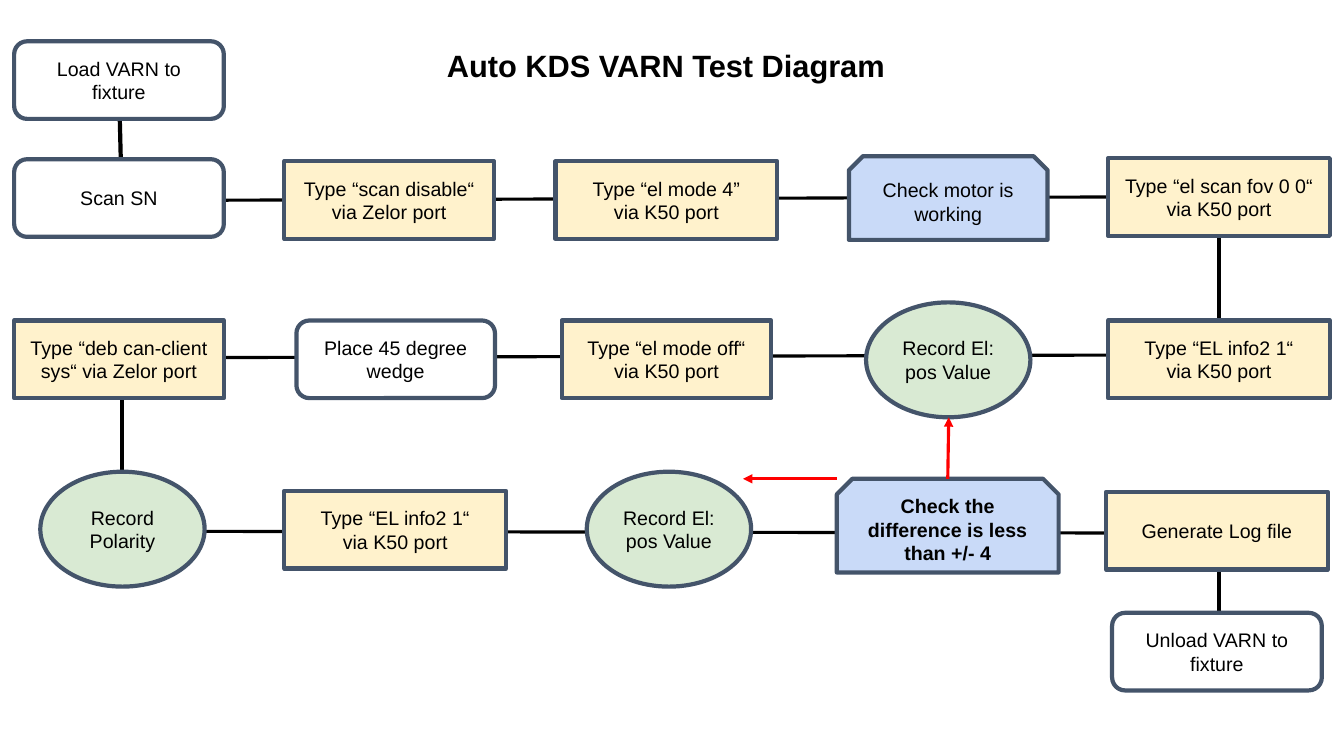
from dataclasses import dataclass

import lxml.etree
import pptx
import pptx.dml.color
import pptx.enum.shapes
import pptx.enum.text
import pptx.oxml.ns
import pptx.util

Inches = pptx.util.Inches
Pt = pptx.util.Pt
SHAPES = pptx.enum.shapes.MSO_SHAPE
CENTER = pptx.enum.text.PP_ALIGN.CENTER

COLORS = {
    "black": "000000",
    "white": "FFFFFF",
    "outline": "44546A",
    "cream": "FFF2CC",
    "blue": "C9DAF8",
    "green": "D9EAD3",
    "red": "FF0000",
}


@dataclass(frozen=True)
class Kind:
    shape: int
    fill: str
    height: float


@dataclass(frozen=True)
class Step:
    kind: Kind
    left: float
    top: float
    width: float
    text: str
    bold: bool = False


@dataclass(frozen=True)
class Line:
    start: tuple[float, float]
    end: tuple[float, float]
    width: float = 2.25
    color: str = "black"
    arrow: bool = False


MANUAL = Kind(SHAPES.ROUNDED_RECTANGLE, "white", 0.77)
COMMAND = Kind(SHAPES.RECTANGLE, "cream", 0.77)
RECORD = Kind(SHAPES.FLOWCHART_CONNECTOR, "green", 1.14)
CHECK = Kind(SHAPES.SNIP_2_SAME_RECTANGLE, "blue", 0.83)
FINAL_CHECK = Kind(SHAPES.SNIP_2_SAME_RECTANGLE, "blue", 0.93)

LINES = [
    Line((12.09, 5.5), (12.09, 6.73), 3),
    Line((12.09, 2.15), (12.09, 3.37), 3),
    Line((1.21, 3.75), (1.21, 4.87), 3),
    Line((1.18, 0.85), (1.21, 2.07), 3),
    Line((1.04, 5.27), (12.18, 5.29)),
    Line((1.21, 3.55), (12.07, 3.52)),
    Line((1.22, 1.99), (12.09, 1.95)),
]

STEPS = [
    Step(MANUAL, 0.14, 0.41, 2.08, "Load VARN to fixture"),
    Step(MANUAL, 0.14, 1.58, 2.08, "Scan SN"),
    Step(COMMAND, 2.82, 1.6, 2.08, "Type “scan disable“ via Zelor port"),
    Step(COMMAND, 5.51, 1.6, 2.2, "Type “el mode 4”\nvia K50 port"),
    Step(CHECK, 8.42, 1.55, 1.97, "Check motor is working"),
    Step(COMMAND, 10.99, 1.57, 2.2, "Type “el scan fov 0 0“\nvia K50 port"),
    Step(COMMAND, 10.99, 3.18, 2.2, "Type “EL info2 1“\nvia K50 port"),
    Step(RECORD, 8.59, 3, 1.63, "Record El: pos Value"),
    Step(COMMAND, 5.57, 3.18, 2.08, "Type “el mode off“\nvia K50 port"),
    Step(MANUAL, 2.94, 3.18, 1.97, "Place 45 degree wedge"),
    Step(COMMAND, 0.14, 3.18, 2.08, "Type “deb can-client sys“ via Zelor port"),
    Step(RECORD, 0.4, 4.68, 1.63, "Record Polarity"),
    Step(COMMAND, 2.82, 4.87, 2.2, "Type “EL info2 1“\nvia K50 port"),
    Step(RECORD, 5.82, 4.68, 1.63, "Record El: pos Value"),
    Step(FINAL_CHECK, 8.3, 4.75, 2.2, "Check the difference is less than +/- 4", True),
    Step(COMMAND, 10.97, 4.88, 2.2, "Generate Log file"),
    Step(MANUAL, 11.03, 6.08, 2.08, "Unload VARN to fixture"),
]

ARROWS = [
    Line((9.4, 4.75), (9.41, 4.14), color="red", arrow=True),
    Line((8.3, 4.75), (7.37, 4.75), color="red", arrow=True),
]


def color_of(name: str) -> pptx.dml.color.RGBColor:
    return pptx.dml.color.RGBColor.from_string(COLORS[name])


def write_text(box, text: str, size: float, bold: bool) -> None:
    frame = box.text_frame
    frame.word_wrap = True
    frame.margin_left = frame.margin_right = Inches(0.1)
    frame.margin_top = frame.margin_bottom = Inches(0.1)
    frame.text = text
    for para in frame.paragraphs:
        para.alignment = CENTER
        for span in para.runs:
            span.font.name = "Arial"
            span.font.size = Pt(size)
            span.font.bold = bold
            span.font.color.rgb = color_of("black")


def draw_step(page, step: Step) -> None:
    box = page.shapes.add_shape(
        step.kind.shape,
        Inches(step.left),
        Inches(step.top),
        Inches(step.width),
        Inches(step.kind.height),
    )
    box.shadow.inherit = False
    box.fill.solid()
    box.fill.fore_color.rgb = color_of(step.kind.fill)
    box.line.color.rgb = color_of("outline")
    box.line.width = Pt(3)
    box.text_frame.vertical_anchor = pptx.enum.text.MSO_ANCHOR.MIDDLE
    write_text(box, step.text, 14, step.bold)


def draw_line(page, line: Line) -> None:
    connector = page.shapes.add_connector(
        pptx.enum.shapes.MSO_CONNECTOR.STRAIGHT,
        *(Inches(length) for length in line.start + line.end),
    )
    connector.line.color.rgb = color_of(line.color)
    connector.line.width = Pt(line.width)
    qualified = pptx.oxml.ns.qn
    if line.arrow:
        outline = connector.line._get_or_add_ln()
        lxml.etree.SubElement(outline, qualified("a:tailEnd"), type="triangle")
    lxml.etree.SubElement(connector._element.spPr, qualified("a:effectLst"))


def main() -> None:
    deck = pptx.Presentation()
    deck.slide_width = Inches(13.33)
    deck.slide_height = Inches(7.5)
    page = deck.slides.add_slide(deck.slide_layouts[6])
    for line in LINES:
        draw_line(page, line)
    for step in STEPS:
        draw_step(page, step)
    for arrow in ARROWS:
        draw_line(page, arrow)
    title = page.shapes.add_textbox(
        Inches(1.51), Inches(0.36), Inches(10.19), Inches(0.57)
    )
    write_text(title, "Auto KDS VARN Test Diagram", 22, True)
    deck.save("out.pptx")


if __name__ == "__main__":
    main()
